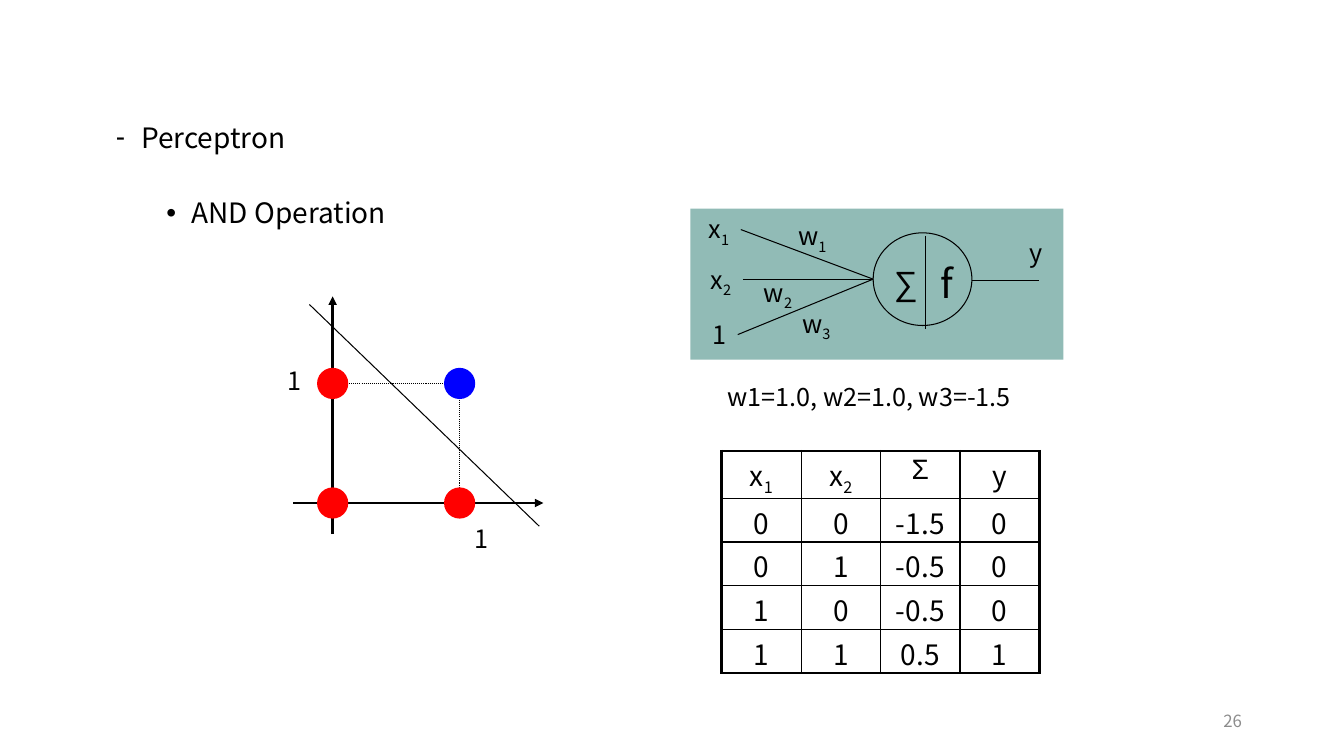
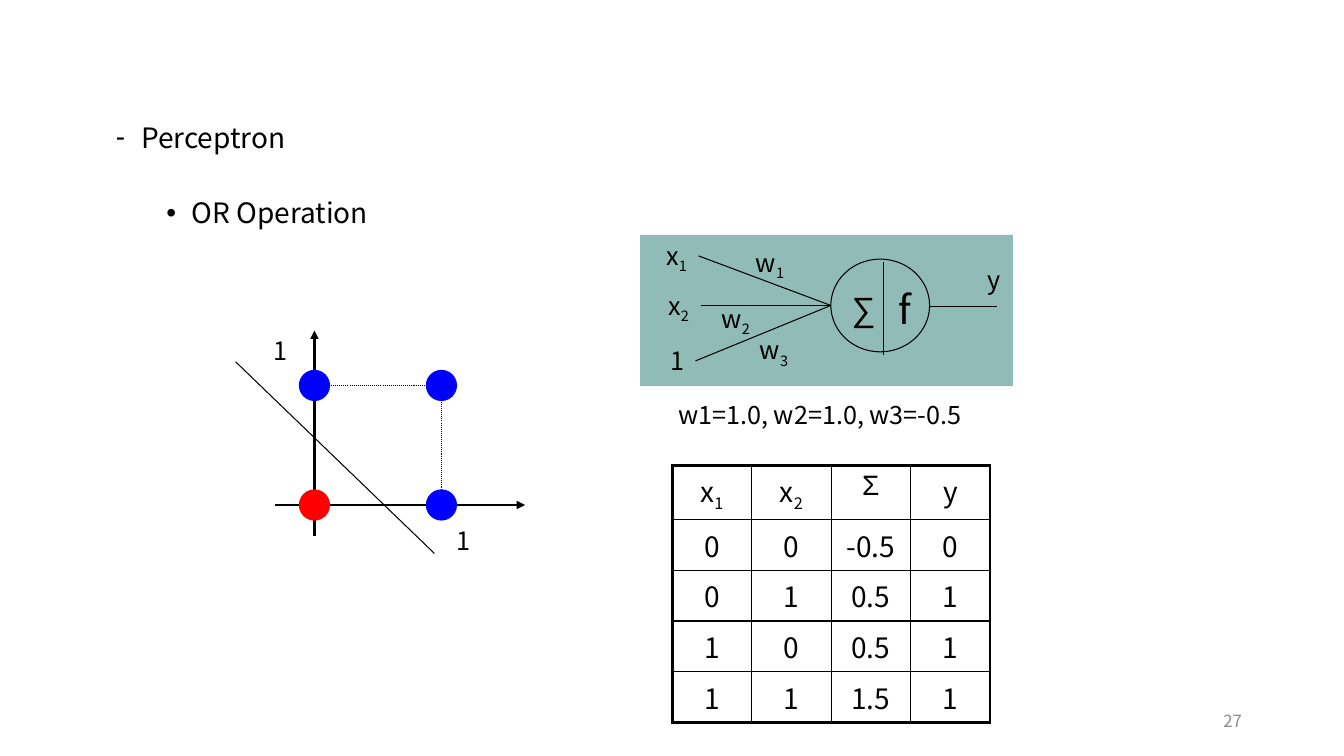
from itertools import product

from lxml import etree
from pptx import Presentation
from pptx.dml.color import RGBColor
from pptx.enum import dml, shapes, text
from pptx.oxml.ns import qn
from pptx.util import Pt

FONT, SYMBOL_FONT = "Noto Sans CJK KR", "Arial"
BLACK, GREY, TEAL, RED, BLUE = "000000", "8C8C8C", "91BBB6", "FF0000", "0000FF"
LABEL_H = 28.8
LABEL_W = {"x": 30.2, "w": 34.6, "1": 25.2, "y": 23.8}

OPERATIONS = [
    dict(number=26, name="AND", bias=-1.5,
         neuron=dict(x=493.2, y=149, inset=0),
         weights=(512.6, 268.6),
         table=dict(x=515.5, y=322.2, row_h=31.2, margins=(2.2, 0)),
         plot=dict(x=237.6, y=359.3, top=147.6, y_label=(-39.6, -102.2),
                   boundary=(-16.6, -141.8, 147.6, 16.6))),
    dict(number=27, name="OR", bias=-0.5,
         neuron=dict(x=457.2, y=167.8, inset=5.8),
         weights=(477.4, 281.5),
         table=dict(x=480.2, y=332.4, row_h=36.2, margins=(3.6, 3.6)),
         plot=dict(x=224.6, y=360.7, top=124.6, y_label=(-36, -124.6),
                   boundary=(-56.2, -102.2, 85.7, 34.6))),
]


def rgb(value):
    return RGBColor.from_string(value)


def pts(*values):
    return [Pt(v) for v in values]


def write(p, txt, size=18, font=FONT, color=BLACK):
    """Fill a paragraph; what follows an underscore is a subscript."""
    for i, part in enumerate(txt.split("_")):
        r = p.add_run()
        r.text = part
        for key, value in dict(name=font, size=Pt(size)).items():
            setattr(r.font, key, value)
        r.font.color.rgb = rgb(color)
        if i:
            r._r.get_or_add_rPr().set("baseline", "-25000")


def label(s, x, y, txt, w=None, h=LABEL_H, **style):
    tf = s.shapes.add_textbox(*pts(x, y, w or LABEL_W[txt[0]], h)).text_frame
    tf.word_wrap = False
    write(tf.paragraphs[0], txt, **style)
    return tf


def line(s, x1, y1, x2, y2, width=0.75, arrow=False, dotted=False):
    sp = s.shapes.add_connector(shapes.MSO_CONNECTOR.STRAIGHT, *pts(x1, y1, x2, y2))
    sp.line.color.rgb = rgb(BLACK)
    sp.line.width = Pt(width)
    if dotted:
        sp.line.dash_style = dml.MSO_LINE.ROUND_DOT
    if arrow:
        etree.SubElement(sp.line._get_or_add_ln(), qn("a:tailEnd"), type="triangle")
    etree.SubElement(sp._element.spPr, qn("a:effectLst"))


def shape(s, kind, x, y, w, h, fill, outlined=False):
    sp = s.shapes.add_shape(kind, *pts(x, y, w, h))
    sp.shadow.inherit = False
    sp.fill.solid()
    sp.fill.fore_color.rgb = rgb(fill)
    if outlined:
        sp.line.color.rgb = rgb(BLACK)
        sp.line.width = Pt(0.75)
    else:
        sp.line.fill.background()


def outline(s, name):
    """Place the two bulleted levels in the body placeholder."""
    s.shapes.title._element.getparent().remove(s.shapes.title._element)
    body = s.placeholders[1]
    body.left, body.top, body.width, body.height = pts(75.6, 87.1, 825.8, 370.8)
    tf = body.text_frame
    tf.auto_size = text.MSO_AUTO_SIZE.NONE
    items = [("-", "Perceptron", 18, 0), ("•", f"{name} Operation", 54, 34.7)]
    for level, (bullet, txt, margin, before) in enumerate(items):
        p = tf.add_paragraph() if level else tf.paragraphs[0]
        for key, value in dict(level=level, line_spacing=0.8,
                               space_before=Pt(before)).items():
            setattr(p, key, value)
        pPr = p._p.get_or_add_pPr()
        pPr.set("marL", str(Pt(margin)))
        pPr.set("indent", str(Pt(-18)))
        etree.SubElement(pPr, qn("a:buFont"), typeface=SYMBOL_FONT)
        etree.SubElement(pPr, qn("a:buChar"), char=bullet)
        write(p, txt, 20)


def neuron(s, x, y, inset):
    shape(s, shapes.MSO_SHAPE.RECTANGLE, x, y, 266.4, 108, TEAL)
    x += inset
    shape(s, shapes.MSO_SHAPE.OVAL, x + 130.5, y + 17.3, 70.5, 66.2, TEAL, True)
    for dx, dy in [(36, 15), (37.4, 50.4), (33.8, 90)]:
        line(s, x + dx, y + dy, x + 130.5, y + 50.4)
    line(s, x + 201, y + 51.1, x + 249.2, y + 51.1)
    line(s, x + 167.8, y + 19.4, x + 167.8, y + 85.7)
    for txt, dx, dy in [("x_1", 5.8, 0), ("x_2", 7.2, 36), ("1", 8.6, 75.6),
                        ("w_1", 69.8, 5), ("w_2", 45.4, 45.4),
                        ("w_3", 72.7, 67.7), ("y", 235.4, 17.3)]:
        label(s, x + dx, y + dy, txt)
    label(s, x + 138.2, y + 34.6, "∑", 31.7, 36, size=24, font=SYMBOL_FONT)
    label(s, x + 171.4, y + 32.4, "f", 24.5, 41, size=28)


def plot(s, x, y, top, y_label, boundary, truth):
    """Draw the input plane around the origin (x, y)."""
    unit_x, unit_y, dot = 90.7, 85.4, 22.3
    line(s, x - 28, y, x + 150.5, y, 2, arrow=True)
    line(s, x, y + 22.3, x, y - top, 2, arrow=True)
    x1, y1, x2, y2 = boundary
    line(s, x + x1, y + y1, x + x2, y + y2)
    line(s, x, y - unit_y, x + unit_x, y - unit_y, dotted=True)
    line(s, x + unit_x, y - unit_y, x + unit_x, y, dotted=True)
    for dx, dy in [(94.3, 10.8), y_label]:
        label(s, x + dx, y + dy, "1")
    for a, b, _, out in truth:
        shape(s, shapes.MSO_SHAPE.OVAL, x + a * unit_x - dot / 2,
              y - b * unit_y - dot / 2, dot, dot, BLUE if out else RED)


def border(cell, side, width):
    ln = etree.SubElement(cell._tc.get_or_add_tcPr(), qn(f"a:ln{side}"), w=str(Pt(width)))
    fill = etree.SubElement(ln, qn("a:solidFill"))
    etree.SubElement(fill, qn("a:srgbClr"), val=BLACK)


def truth_table(s, x, y, row_h, margins, truth):
    rows = [("x_1", "x_2", "Σ", "y"), *truth]
    n_rows, n_cols = len(rows), len(rows[0])
    header_h = row_h + 2.6
    table = s.shapes.add_table(n_rows, n_cols, *pts(
        x, y, 227, header_h + row_h * (n_rows - 1))).table
    table.first_row = table.horz_banding = False
    for col in table.columns:
        col.width = Pt(227 / n_cols)
    for i, j in product(range(n_rows), range(n_cols)):
        table.rows[i].height = Pt(row_h if i else header_h)
        cell = table.cell(i, j)
        edges = dict(L=j == 0, R=j == n_cols - 1, T=i == 0, B=i == n_rows - 1)
        for side, outer in edges.items():
            border(cell, side, 2.25 if outer else 1)
        cell.fill.background()
        cell.margin_top, cell.margin_bottom = pts(*margins)
        p = cell.text_frame.paragraphs[0]
        p.alignment = text.PP_ALIGN.CENTER
        value = str(rows[i][j])
        write(p, value, 20, SYMBOL_FONT if value == "Σ" else FONT)


def slide_number(s, number):
    tf = label(s, 678.2, 500.4, str(number), 216, size=12, color=GREY)
    tf.word_wrap = True
    tf.vertical_anchor = text.MSO_ANCHOR.MIDDLE
    tf.paragraphs[0].alignment = text.PP_ALIGN.RIGHT


def operation_slide(prs, number, name, bias, neuron_box, weights, table_box, plot_box):
    s = prs.slides.add_slide(prs.slide_layouts[1])
    truth = [(a, b, a + b + bias, int(a + b + bias > 0))
             for a, b in product((0, 1), repeat=2)]
    outline(s, name)
    slide_number(s, number)
    truth_table(s, truth=truth, **table_box)
    neuron(s, **neuron_box)
    plot(s, truth=truth, **plot_box)
    label(s, *weights, f"w1=1.0, w2=1.0, w3={bias}", 235.4)


def main():
    prs = Presentation()
    prs.slide_width, prs.slide_height = pts(960, 540)
    for op in OPERATIONS:
        operation_slide(prs, op["number"], op["name"], op["bias"], op["neuron"],
                        op["weights"], op["table"], op["plot"])
    prs.save("out.pptx")


if __name__ == "__main__":
    main()
